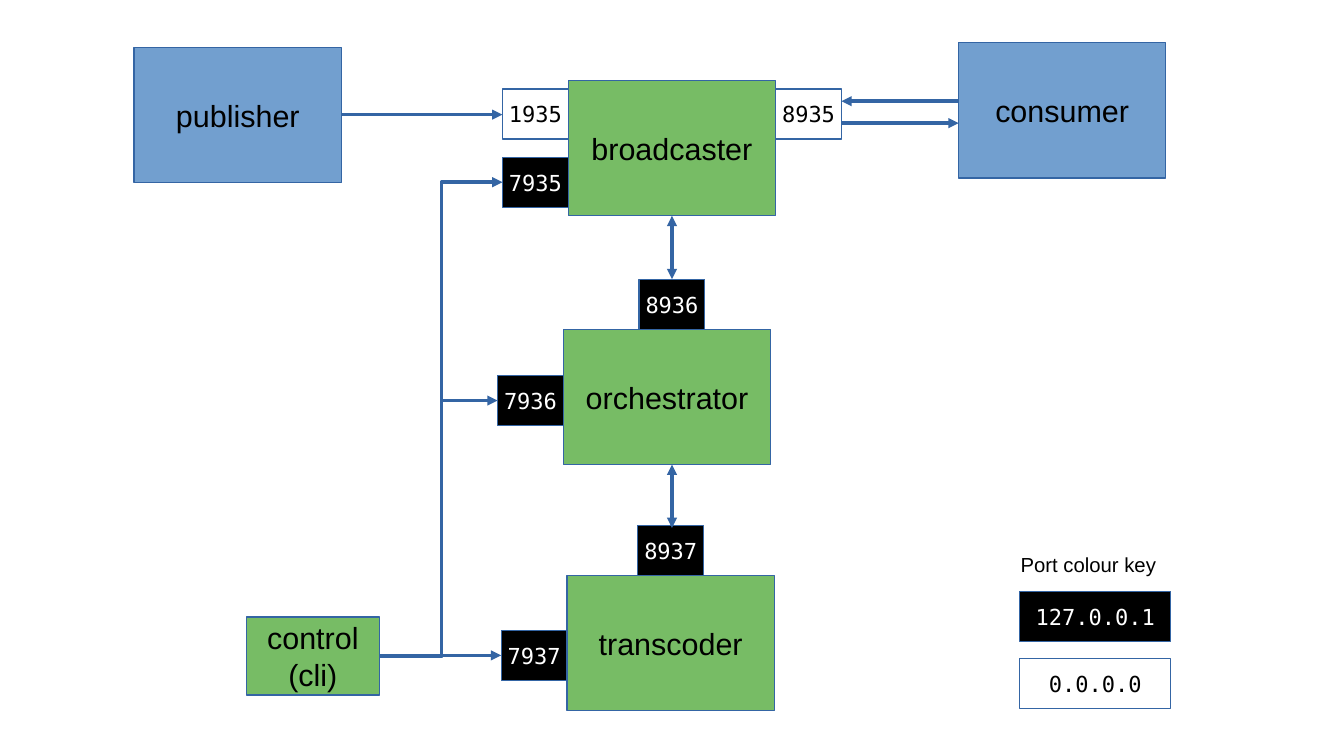
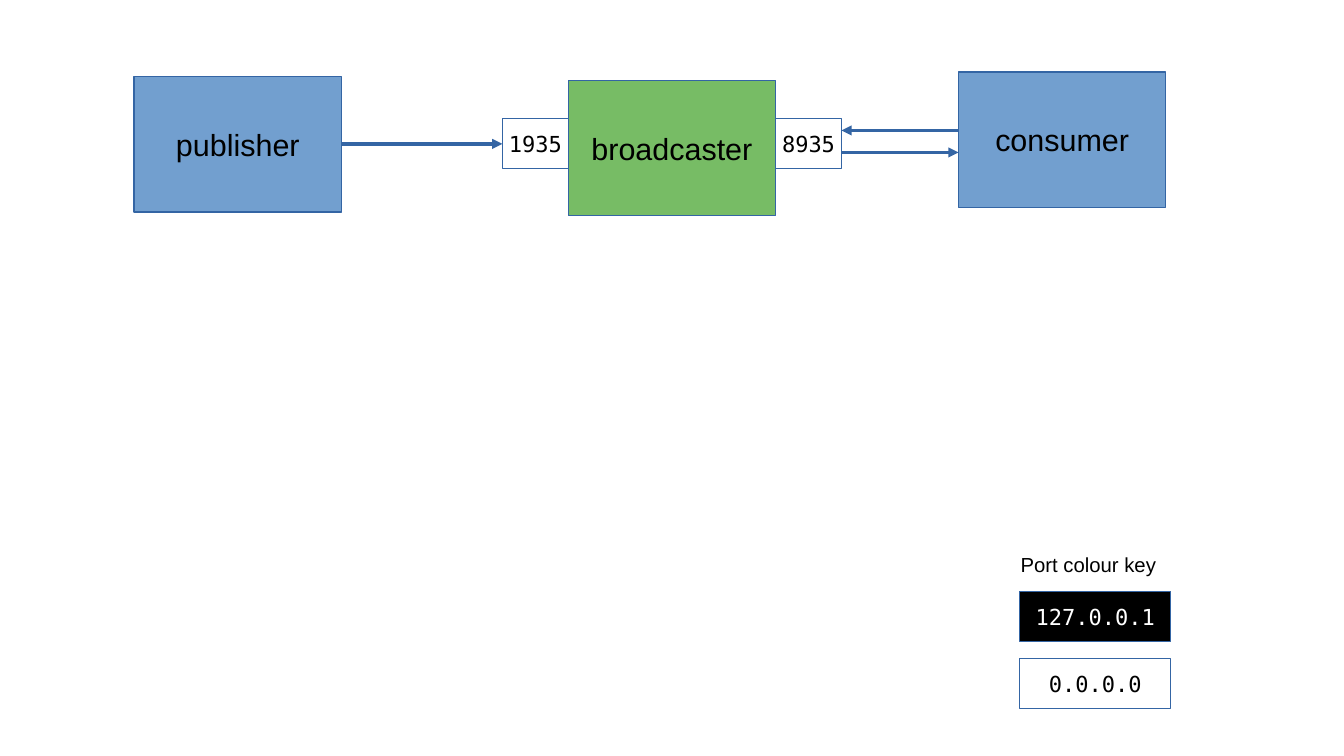
from dataclasses import dataclass

from lxml.etree import SubElement
from pptx import Presentation
from pptx.dml.color import RGBColor
from pptx.enum.shapes import MSO_CONNECTOR, MSO_SHAPE
from pptx.enum.text import MSO_ANCHOR, MSO_AUTO_SIZE, PP_ALIGN
from pptx.oxml.ns import qn
from pptx.util import Inches, Pt


@dataclass(frozen=True)
class Theme:
    """Colours, fonts and type sizes of the deck."""
    client: str = "729FCF"
    node: str = "77BC65"
    line: str = "3465A4"
    black: str = "000000"
    white: str = "FFFFFF"
    sans: str = "Arial"
    mono: str = "DejaVu Sans Mono"
    node_size: int = 18
    port_size: int = 13
    key_size: int = 12


THEME = Theme()
NODE_W, NODE_H = 1.7, 1.11
PORT_W, PORT_H = 0.54, 0.41
CONSUMER_X = 7.86
BROADCASTER_X, BROADCASTER_Y = 4.66, 0.66
TRUNK_X = 3.62
LINK_X = 5.51


def rgb(value):
    """Turn a hex string into a colour."""
    return RGBColor.from_string(value)


def write(tf, text, font, size, color, align):
    """Fill a text frame with uniformly formatted paragraphs."""
    tf.text = text
    tf.word_wrap = False
    for p in tf.paragraphs:
        p.alignment = align
        p.font.name = font
        p.font.size = Pt(size)
        p.font.color.rgb = rgb(color)


def add_box(s, text, x, y, w, h, fill, font, size, color):
    """Add an outlined rectangle with centred text."""
    sp = s.shapes.add_shape(MSO_SHAPE.RECTANGLE, Inches(x), Inches(y), Inches(w), Inches(h))
    sp.shadow.inherit = False
    sp.fill.solid()
    sp.fill.fore_color.rgb = rgb(fill)
    sp.line.color.rgb = rgb(THEME.line)
    sp.line.width = Pt(0)
    sp.text_frame.vertical_anchor = MSO_ANCHOR.MIDDLE
    write(sp.text_frame, text, font, size, color, PP_ALIGN.CENTER)
    return sp


def add_node(s, text, x, y, fill=THEME.node, w=NODE_W, h=NODE_H):
    """Add a process box."""
    return add_box(s, text, x, y, w, h, fill, THEME.sans, THEME.node_size, THEME.black)


def add_port(s, text, x, y, local=True, w=PORT_W):
    """Add a port box, black when local and white when public."""
    fill, color = (THEME.black, THEME.white) if local else (THEME.white, THEME.black)
    return add_box(s, text, x, y, w, PORT_H, fill, THEME.mono, THEME.port_size, color)


def add_arrow(s, start, end, kind=MSO_CONNECTOR.STRAIGHT, both=False):
    """Add an arrow between two points, with one or two heads."""
    cx = s.shapes.add_connector(kind, *(Inches(v) for v in (*start, *end)))
    cx.line.color.rgb = rgb(THEME.line)
    cx.line.width = Pt(0)
    ln = cx.line._get_or_add_ln()
    for tag in ("a:headEnd", "a:tailEnd") if both else ("a:tailEnd",):
        SubElement(ln, qn(tag), type="triangle")
    SubElement(cx._element.spPr, qn("a:effectLst"))
    return cx


def add_branch(s, source, port):
    """Glue an elbow arrow from a box to a port, turning at the trunk."""
    cx = add_arrow(s, (0, 0), (1, 1), MSO_CONNECTOR.ELBOW)
    cx.begin_connect(source, 3)
    cx.end_connect(port, 1)
    turn = round((Inches(TRUNK_X) - cx.begin_x) / (cx.end_x - cx.begin_x) * 100000)
    av = cx._element.spPr.find(qn("a:prstGeom")).get_or_add_avLst()
    SubElement(av, qn("a:gd"), name="adj1", fmla=f"val {turn}")


def add_stream(s, dy=0):
    """Add the publisher, broadcaster and consumer row, its ends lowered by dy."""
    publisher_x, port_x = 1.1, BROADCASTER_X - PORT_W
    out_x = BROADCASTER_X + NODE_W
    add_node(s, "broadcaster", BROADCASTER_X, BROADCASTER_Y)
    add_port(s, "1935", port_x, 0.73 + dy, local=False)
    add_port(s, "8935", out_x, 0.73 + dy, local=False)
    add_node(s, "publisher", publisher_x, 0.39 + dy, THEME.client)
    add_node(s, "consumer", CONSUMER_X, 0.35 + dy, THEME.client)
    add_arrow(s, (publisher_x + NODE_W, 0.94 + dy), (port_x, 0.94 + dy))
    add_arrow(s, (CONSUMER_X, 0.83 + dy), (out_x + PORT_W, 0.83 + dy))
    add_arrow(s, (out_x + PORT_W, 1.01 + dy), (CONSUMER_X, 1.01 + dy))


def add_key(s):
    """Add the port colour key."""
    tb = s.shapes.add_textbox(Inches(8.27), Inches(4.48), Inches(1.31), Inches(0.29))
    write(tb.text_frame, "Port colour key", THEME.sans, THEME.key_size, THEME.black, PP_ALIGN.LEFT)
    tb.text_frame.auto_size = MSO_AUTO_SIZE.SHAPE_TO_FIT_TEXT
    add_port(s, "127.0.0.1", 8.36, 4.85, w=1.24)
    add_port(s, "0.0.0.0", 8.36, 5.4, local=False, w=1.24)


def add_backend(s):
    """Add the orchestrator, the transcoder and the control tool with their links."""
    ports = [add_port(s, "7935", BROADCASTER_X - PORT_W, 1.29)]
    for name, x, y, side, side_y, top, top_x in (
        ("orchestrator", 4.62, 2.7, "7936", 3.08, "8936", 5.24),
        ("transcoder", 4.65, 4.72, "7937", 5.17, "8937", 5.23),
    ):
        add_node(s, name, x, y)
        ports.append(add_port(s, side, x - PORT_W, side_y))
        add_port(s, top, top_x, y - PORT_H)
    for top, bottom in ((BROADCASTER_Y + NODE_H, 2.29), (2.7 + NODE_H, 4.33)):
        add_arrow(s, (LINK_X, bottom), (LINK_X, top), both=True)
    control = add_node(s, "control\n(cli)", 2.02, 5.06, w=1.09, h=0.64)
    for port in ports:
        add_branch(s, control, port)


def main():
    """Build both slides and save the deck."""
    prs = Presentation()
    prs.slide_width, prs.slide_height = Inches(11.02), Inches(6.2)
    blank = prs.slide_layouts[6]

    s = prs.slides.add_slide(blank)
    add_stream(s)
    add_backend(s)
    add_key(s)

    s = prs.slides.add_slide(blank)
    add_stream(s, dy=0.24)
    add_key(s)

    prs.save("out.pptx")


if __name__ == "__main__":
    main()
